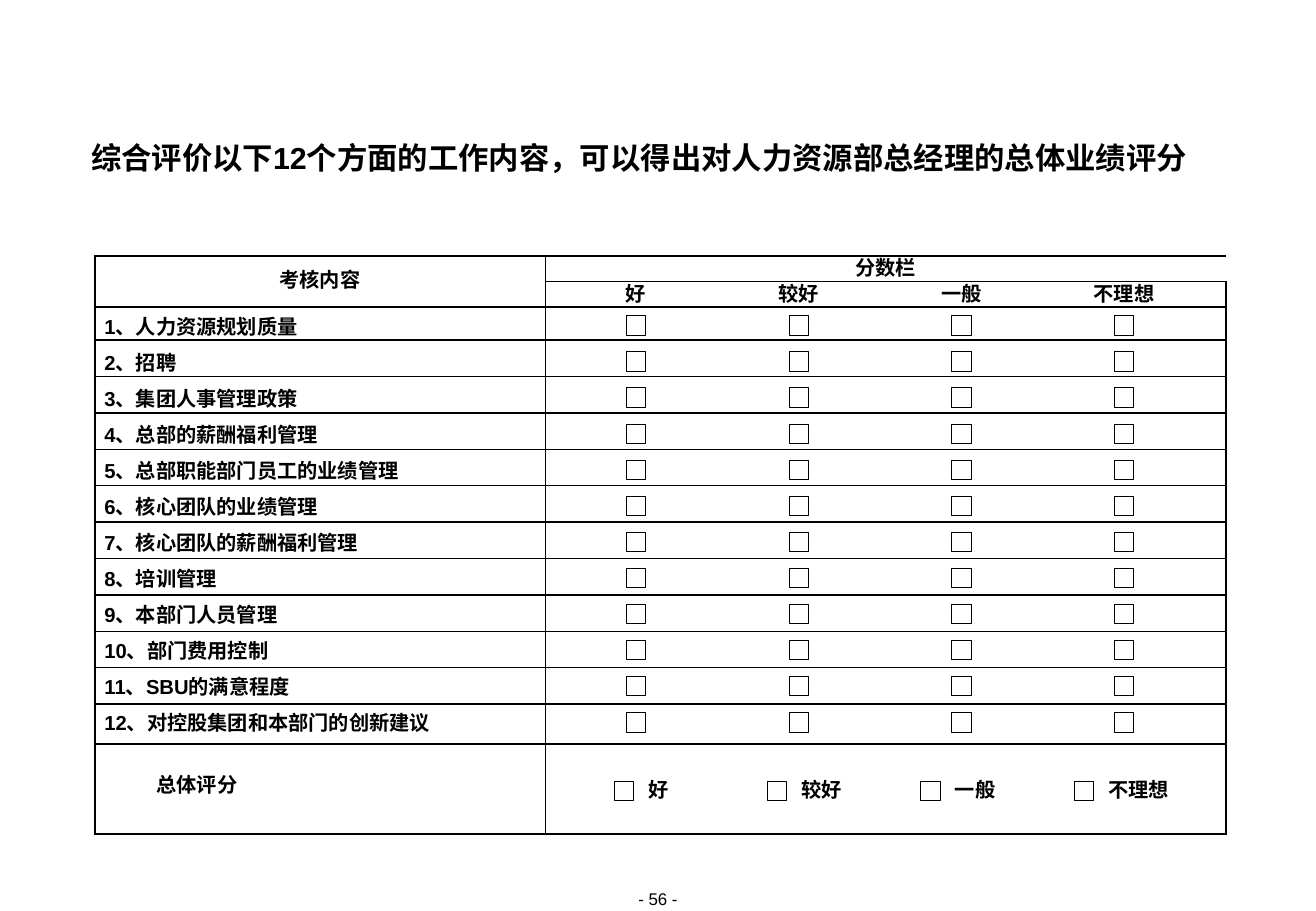
"""Build the appraisal form slide for the general manager of human resources."""
from lxml import etree
from pptx import Presentation
from pptx.dml.color import RGBColor
from pptx.enum.shapes import MSO_SHAPE as SHAPE
from pptx.enum.text import MSO_ANCHOR as ANCHOR, PP_ALIGN as ALIGN
from pptx.oxml.ns import qn
from pptx.util import Inches, Pt

BLACK = RGBColor(0x00, 0x00, 0x00)
WHITE = RGBColor(0xFF, 0xFF, 0xFF)
FONT = "Arial"

ITEMS = ["人力资源规划质量", "招聘", "集团人事管理政策", "总部的薪酬福利管理",
         "总部职能部门员工的业绩管理", "核心团队的业绩管理", "核心团队的薪酬福利管理",
         "培训管理", "本部门人员管理", "部门费用控制", "SBU的满意程度",
         "对控股集团和本部门的创新建议"]
GRADES = ["好", "较好", "一般", "不理想"]

COL_X = [0.78, 4.49, 5.91, 7.25, 8.59, 10.1]
ROW_Y = [2.11, 2.32, 2.53] + [2.8 + 0.3 * i for i in range(11)] + [6.13, 6.87]
TOTAL = len(ITEMS) + 2
ROW_LINES = {0: 1.5, 1: 0.5, 2: 1.5, TOTAL: 1.5, TOTAL + 1: 1.5}
COL_LINES = {0: 1.5, 1: 0.5, 5: 1.5}
BOX = 0.16


def write(tf, text, size=12, bold=True, align=ALIGN.LEFT, spacing=None):
    p = tf.paragraphs[0]
    p.alignment = align
    if spacing:
        p.line_spacing = Pt(spacing)
    r = p.add_run()
    r.text = text
    r.font.name = FONT
    r.font.size = Pt(size)
    r.font.bold = bold
    r.font.color.rgb = BLACK


def draw_border(cell, side, width):
    ln = etree.SubElement(cell._tc.get_or_add_tcPr(), qn("a:ln" + side))
    if width:
        ln.set("w", str(Pt(width)))
        fill = etree.SubElement(ln, qn("a:solidFill"))
        etree.SubElement(fill, qn("a:srgbClr"), val=str(BLACK))
    else:
        etree.SubElement(ln, qn("a:noFill"))


prs = Presentation()
prs.slide_width = Inches(10.84)
prs.slide_height = Inches(7.5)
s = prs.slides.add_slide(prs.slide_layouts[6])

for text, x, y, w, h, style in [
    ("综合评价以下12个方面的工作内容，可以得出对人力资源部总经理的总体业绩评分",
     0.75, 1.17, 9.33, 0.28, dict(size=18, spacing=20)),
    ("- 56 -", 4.85, 7.32, 1.14, 0.17, dict(size=10, bold=False, align=ALIGN.CENTER)),
]:
    tf = s.shapes.add_textbox(Inches(x), Inches(y), Inches(w), Inches(h)).text_frame
    tf.word_wrap = True
    tf.margin_left = tf.margin_right = tf.margin_top = tf.margin_bottom = 0
    write(tf, text, **style)

table = s.shapes.add_table(
    len(ROW_Y) - 1, len(COL_X) - 1, Inches(COL_X[0]), Inches(ROW_Y[0]),
    Inches(COL_X[-1] - COL_X[0]), Inches(ROW_Y[-1] - ROW_Y[0])).table
table.first_row = table.horz_banding = False
for c, col in enumerate(table.columns):
    col.width = Inches(COL_X[c + 1] - COL_X[c])
for r, row in enumerate(table.rows):
    row.height = Inches(ROW_Y[r + 1] - ROW_Y[r])
    for c, cell in enumerate(row.cells):
        cell.margin_left = cell.margin_right = cell.margin_top = cell.margin_bottom = 0
        cell.vertical_anchor = ANCHOR.MIDDLE
        draw_border(cell, "L", COL_LINES.get(c, 0))
        draw_border(cell, "R", COL_LINES.get(c + 1, 0))
        draw_border(cell, "T", 0 if (r, c) == (1, 0) else ROW_LINES.get(r, 1))
        draw_border(cell, "B", 0 if (r, c) == (0, 0) else ROW_LINES.get(r + 1, 1))
        cell.fill.solid()
        cell.fill.fore_color.rgb = WHITE
        p = cell.text_frame.paragraphs[0]
        p.line_spacing = Pt(14)
        etree.SubElement(p._p, qn("a:endParaRPr"), sz="1200")

table.cell(0, 0).merge(table.cell(1, 0))
table.cell(0, 1).merge(table.cell(0, 4))
write(table.cell(0, 0).text_frame, "考核内容", align=ALIGN.CENTER)
table.cell(0, 1).vertical_anchor = ANCHOR.BOTTOM
write(table.cell(0, 1).text_frame, "分数栏", align=ALIGN.CENTER)

for i, item in enumerate(ITEMS):
    cell = table.cell(i + 2, 0)
    cell.vertical_anchor = ANCHOR.BOTTOM
    cell.margin_left = Inches(0.08)
    cell.margin_bottom = Inches(max(0, ROW_Y[i + 3] - 2.8 - 0.3 * i + 0.003 * i))
    write(cell.text_frame, f"{i + 1}、{item}")

total = table.cell(TOTAL, 0)
total.margin_left = Inches(0.51)
total.margin_bottom = Inches(0.04)
write(total.text_frame, "总体评分")

checkboxes = []
for g, grade in enumerate(GRADES):
    heading = table.cell(1, g + 1)
    heading.vertical_anchor = ANCHOR.BOTTOM
    heading.margin_left = Inches(0.08 if g == 0 else 0)
    heading.margin_right = Inches(0.17 if g == 3 else 0)
    write(heading.text_frame, grade, align=ALIGN.CENTER)
    total_x = 5.06 + 1.263 * g
    score = table.cell(TOTAL, g + 1)
    score.margin_left = Inches(total_x + 0.28 - COL_X[g + 1])
    score.margin_top = Inches(0.04)
    write(score.text_frame, grade)
    checkboxes += [(5.16 + 1.34 * g, 2.6 + 0.297 * i) for i in range(len(ITEMS))]
    checkboxes.append((total_x, 6.43))

for x, y in checkboxes:
    sp = s.shapes.add_shape(SHAPE.RECTANGLE, Inches(x), Inches(y), Inches(BOX), Inches(BOX))
    sp.shadow.inherit = False
    sp.fill.solid()
    sp.fill.fore_color.rgb = WHITE
    sp.line.color.rgb = BLACK
    sp.line.width = Pt(0.5)

prs.save("out.pptx")
